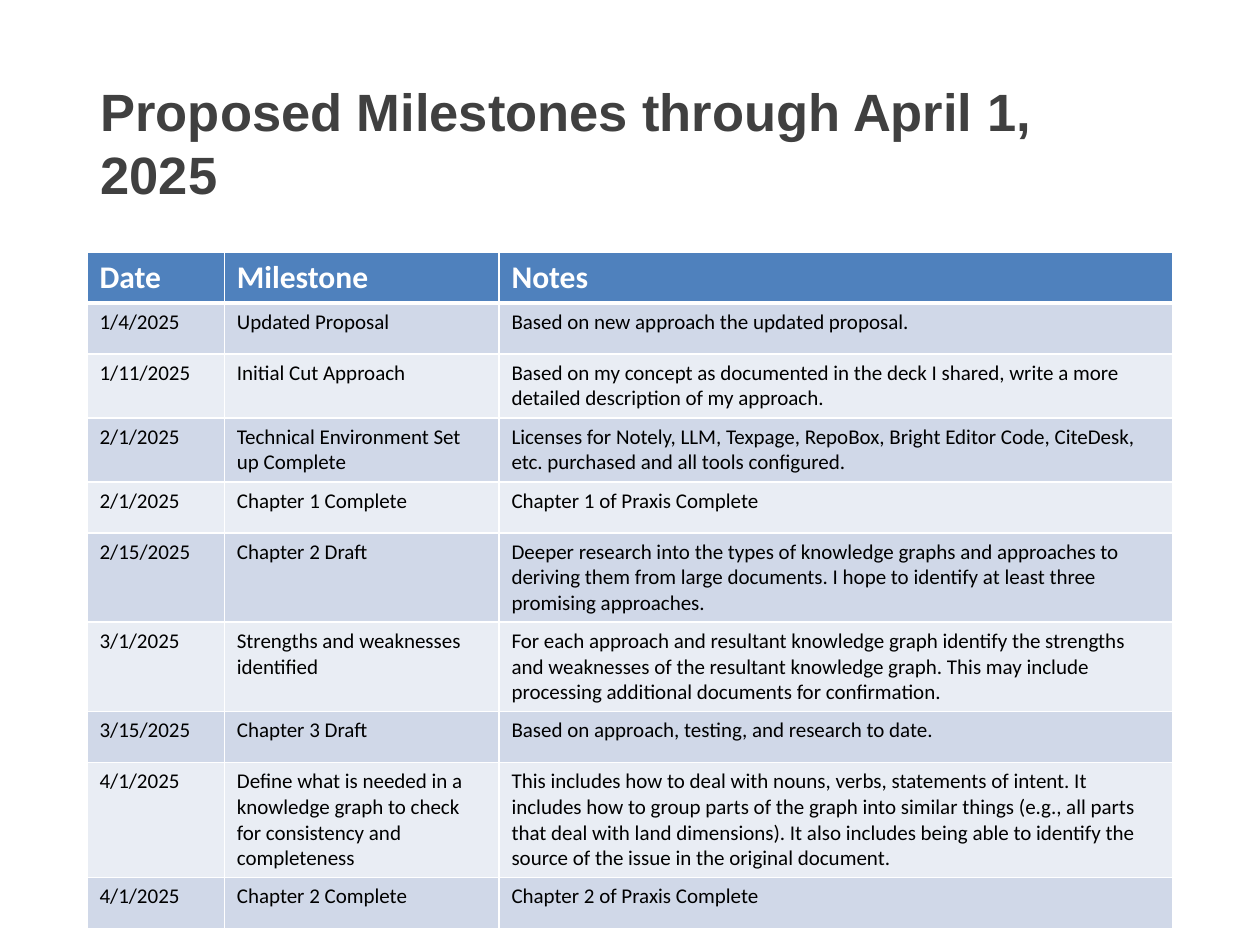
import dataclasses
import typing

import lxml.etree
import pptx
import pptx.dml.color
import pptx.enum.text
import pptx.oxml.ns
import pptx.util

RGBColor = pptx.dml.color.RGBColor
WHITE = RGBColor(0xFF, 0xFF, 0xFF)
BLACK = RGBColor(0x00, 0x00, 0x00)
CHARCOAL = RGBColor(0x40, 0x40, 0x40)
HEADER_BLUE = RGBColor(0x4F, 0x81, 0xBD)
BANDS = (RGBColor(0xD0, 0xD8, 0xE8), RGBColor(0xE9, 0xED, 0xF4))

WIDTH, HEIGHT = pptx.util.Inches(10), pptx.util.Inches(7.5)
TABLE_LEFT, TABLE_TOP = pptx.util.Inches(0.69), pptx.util.Inches(2)
ROWS_HEIGHT = pptx.util.Inches(4.05)  # shared equally; long text makes rows grow
COLUMNS = tuple(pptx.util.Inches(w) for w in (1.09, 2.18, 5.35))
THIN, THICK = 1, 3

TITLE_FONT = {"name": "Arial", "size": pptx.util.Pt(30), "bold": True}
HEADER_FONT = {"name": "Calibri", "size": pptx.util.Pt(18), "bold": True}
BODY_FONT = {"name": "Calibri", "size": pptx.util.Pt(12), "bold": False}


@dataclasses.dataclass(frozen=True)
class Milestone:
    date: str
    name: str
    notes: str


HEADER = Milestone("Date", "Milestone", "Notes")
MILESTONES = (
    Milestone("1/4/2025", "Updated Proposal",
              "Based on new approach the updated proposal."),
    Milestone("1/11/2025", "Initial Cut Approach",
              "Based on my concept as documented in the deck I shared, write a more "
              "detailed description of my approach."),
    Milestone("2/1/2025", "Technical Environment Set up Complete",
              "Licenses for Notely, LLM, Texpage, RepoBox, Bright Editor Code, CiteDesk, "
              "etc. purchased and all tools configured."),
    Milestone("2/1/2025", "Chapter 1 Complete", "Chapter 1 of Praxis Complete"),
    Milestone("2/15/2025", "Chapter 2 Draft",
              "Deeper research into the types of knowledge graphs and approaches to "
              "deriving them from large documents. I hope to identify at least three "
              "promising approaches."),
    Milestone("3/1/2025", "Strengths and weaknesses identified",
              "For each approach and resultant knowledge graph identify the strengths "
              "and weaknesses of the resultant knowledge graph. This may include "
              "processing additional documents for confirmation."),
    Milestone("3/15/2025", "Chapter 3 Draft",
              "Based on approach, testing, and research to date."),
    Milestone("4/1/2025",
              "Define what is needed in a knowledge graph to check for consistency "
              "and completeness",
              "This includes how to deal with nouns, verbs, statements of intent. It "
              "includes how to group parts of the graph into similar things (e.g., all "
              "parts that deal with land dimensions). It also includes being able to "
              "identify the source of the issue in the original document."),
    Milestone("4/1/2025", "Chapter 2 Complete", "Chapter 2 of Praxis Complete"),
)


def write(tf, text: str, font: dict[str, typing.Any], color: RGBColor) -> None:
    r = tf.paragraphs[0].add_run()
    r.text = text
    for name, value in font.items():
        setattr(r.font, name, value)
    r.font.color.rgb = color


def set_borders(cell, top: int, bottom: int) -> None:
    """Give the cell white borders; they must precede the fill in tcPr."""
    tc_pr = cell._tc.get_or_add_tcPr()
    qn = pptx.oxml.ns.qn
    widths = {"a:lnL": THIN, "a:lnR": THIN, "a:lnT": top, "a:lnB": bottom}
    for i, (tag, width) in enumerate(widths.items()):
        ln = lxml.etree.Element(qn(tag), w=str(pptx.util.Pt(width)))
        fill = lxml.etree.SubElement(ln, qn("a:solidFill"))
        lxml.etree.SubElement(fill, qn("a:srgbClr"), val=str(WHITE))
        tc_pr.insert(i, ln)


def add_title(slide, text: str) -> None:
    sp = slide.shapes.add_textbox(int(WIDTH * 0.07), pptx.util.Inches(0.55),
                                  pptx.util.Inches(8.61), pptx.util.Inches(1.15))
    tf = sp.text_frame
    tf.word_wrap = True
    tf.vertical_anchor = pptx.enum.text.MSO_ANCHOR.MIDDLE
    write(tf, text, TITLE_FONT, CHARCOAL)


def add_milestones(slide, rows: typing.Sequence[Milestone]) -> None:
    table = slide.shapes.add_table(len(rows), len(COLUMNS), TABLE_LEFT, TABLE_TOP,
                                   sum(COLUMNS), ROWS_HEIGHT).table
    for column, width in zip(table.columns, COLUMNS):
        column.width = width
    for i, row in enumerate(rows):
        is_header = i == 0
        fill = HEADER_BLUE if is_header else BANDS[(i - 1) % 2]
        font, color = (HEADER_FONT, WHITE) if is_header else (BODY_FONT, BLACK)
        for j, text in enumerate(dataclasses.astuple(row)):
            cell = table.cell(i, j)
            cell.fill.solid()
            cell.fill.fore_color.rgb = fill
            set_borders(cell, top=THICK if i == 1 else THIN,
                        bottom=THICK if is_header else THIN)
            write(cell.text_frame, text, font, color)


def main() -> None:
    prs = pptx.Presentation()
    prs.slide_width, prs.slide_height = WIDTH, HEIGHT
    slide = prs.slides.add_slide(prs.slide_layouts[6])
    # Milestone table below the title
    add_milestones(slide, (HEADER, *MILESTONES))
    add_title(slide, "Proposed Milestones through April 1, 2025")
    prs.save("out.pptx")


if __name__ == "__main__":
    main()
